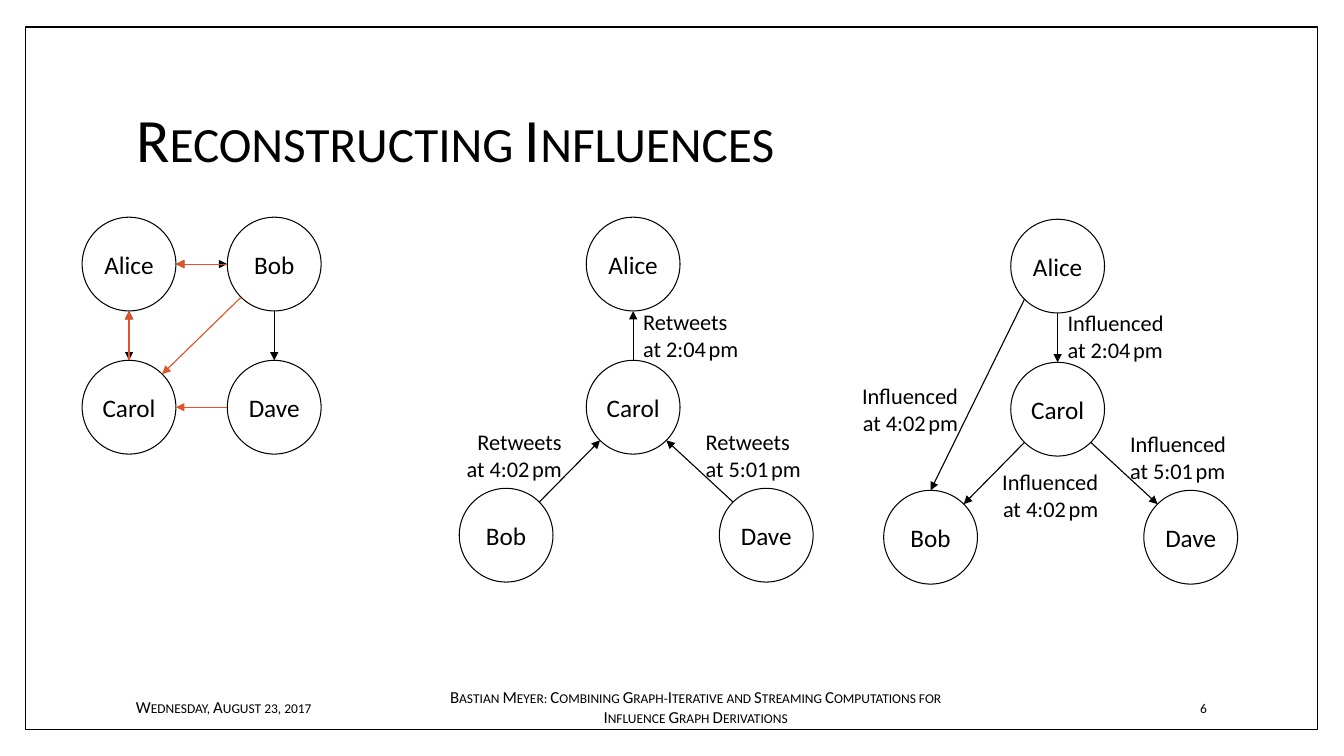
from math import cos, radians, sin

from lxml import etree
from pptx import Presentation
from pptx.dml.color import RGBColor
from pptx.enum import shapes, text
from pptx.oxml import ns
from pptx.util import Inches, Pt

BLACK, WHITE, ORANGE = "000000", "FFFFFF", "DF5327"
LEFT, CENTER, RIGHT = text.PP_ALIGN.LEFT, text.PP_ALIGN.CENTER, text.PP_ALIGN.RIGHT
DIAMETER = 0.93
# Angles on a node's rim, clockwise from the right
E, SE, S, SW, W, NW, N, NE = range(0, 360, 45)


def rgb(value):
    return RGBColor.from_string(value)


def rim(center, angle):
    """Point on the edge of the node with this center."""
    x, y = center
    turn = radians(angle)
    return x + DIAMETER / 2 * cos(turn), y + DIAMETER / 2 * sin(turn)


class GraphSlide:
    font = "Calibri"

    def __init__(self, slide):
        self.slide = slide
        self.shapes = slide.shapes

    def style(self, paragraph, size, align=LEFT, small_caps=False):
        paragraph.alignment = align
        font = paragraph.font
        font.name, font.size = self.font, Pt(size)
        font.color.rgb = rgb(BLACK)
        if small_caps:
            properties = paragraph._p.get_or_add_pPr()
            properties.find(ns.qn("a:defRPr")).set("cap", "small")

    def outline(self, kind, left, top, width, height, weight, fill=None):
        shape = self.shapes.add_shape(
            kind, Inches(left), Inches(top), Inches(width), Inches(height))
        shape.shadow.inherit = False
        if fill:
            shape.fill.solid()
            shape.fill.fore_color.rgb = rgb(fill)
        else:
            shape.fill.background()
        shape.line.color.rgb = rgb(BLACK)
        shape.line.width = Pt(weight)
        return shape

    def title(self, wording):
        title = self.shapes.title
        title.left, title.top = Inches(1.25), Inches(0.67)
        title.width, title.height = Inches(10.8), Inches(1.48)
        frame = title.text_frame
        frame.text = wording
        frame.auto_size = text.MSO_AUTO_SIZE.NONE
        frame.vertical_anchor = text.MSO_ANCHOR.MIDDLE
        frame.paragraphs[0].line_spacing = 0.9
        self.style(frame.paragraphs[0], 44, small_caps=True)

    def text_frame(self, left, top, width, height, wrap):
        box = self.shapes.add_textbox(
            Inches(left), Inches(top), Inches(width), Inches(height))
        box.text_frame.word_wrap = wrap
        return box.text_frame

    def footer(self, wording, left, width, align):
        frame = self.text_frame(left, 6.81, width, 0.4, wrap=True)
        frame.vertical_anchor = text.MSO_ANCHOR.MIDDLE
        frame.text = wording
        self.style(frame.paragraphs[0], 12, align, small_caps=True)

    def node(self, name, center):
        x, y = center
        circle = self.outline(shapes.MSO_SHAPE.OVAL, x - DIAMETER / 2,
                              y - DIAMETER / 2, DIAMETER, DIAMETER, 0.75)
        frame = circle.text_frame
        frame.margin_left = frame.margin_right = Inches(0.04)
        frame.margin_top = frame.margin_bottom = Inches(0.04)
        frame.vertical_anchor = text.MSO_ANCHOR.MIDDLE
        frame.text = name
        self.style(frame.paragraphs[0], 18, CENTER)

    def arrow(self, start, end, color=BLACK, both_ways=False):
        edge = self.shapes.add_connector(
            shapes.MSO_CONNECTOR.STRAIGHT, *(Inches(v) for v in (*start, *end)))
        edge.line.color.rgb = rgb(color)
        edge.line.width = Pt(0.79)
        line = edge.line._get_or_add_ln()
        for tag in ("a:headEnd", "a:tailEnd") if both_ways else ("a:tailEnd",):
            etree.SubElement(line, ns.qn(tag), type="triangle")
        etree.SubElement(edge._element.spPr, ns.qn("a:effectLst"))

    def label(self, verb, time, left, top, align=LEFT):
        frame = self.text_frame(left, top, 1.19, 0.64, wrap=False)
        frame.auto_size = text.MSO_AUTO_SIZE.SHAPE_TO_FIT_TEXT
        line = frame.paragraphs[0]
        line.text = f"{verb}\vat {time}"
        self.style(line, 16, align)
        thin_space = line.add_run()
        thin_space.text = " "
        thin_space.font.size = Pt(8)
        line.add_run().text = "pm"

    def graph(self, nodes, edges):
        """Edges are (source, rim angle, target, rim angle, *arrow options)."""
        for name, center in nodes.items():
            self.node(name, center)
        for source, leave, target, enter, *options in edges:
            self.arrow(rim(nodes[source], leave), rim(nodes[target], enter), *options)


def main():
    prs = Presentation()
    prs.slide_width, prs.slide_height = Inches(13.33), Inches(7.5)
    page = GraphSlide(prs.slides.add_slide(prs.slide_layouts[5]))

    page.outline(shapes.MSO_SHAPE.RECTANGLE, 0.25, 0.27, 12.82, 6.97, 1, WHITE)
    # The frame lies behind the title
    tree = page.shapes._spTree
    tree.append(page.shapes.title._element)
    page.title("Reconstructing Influences")
    page.footer("Wednesday, August 23, 2017", 1.25, 2.55, LEFT)
    page.footer("Bastian Meyer: Combining Graph-Iterative and Streaming "
                "Computations for Influence Graph Derivations", 4.32, 5.16, CENTER)
    page.footer("6", 10.2, 1.87, RIGHT)

    followers = {"Alice": (1.28, 2.62), "Bob": (2.72, 2.62),
                 "Carol": (1.28, 4.04), "Dave": (2.72, 4.04)}
    page.graph(followers, [
        ("Bob", S, "Dave", N),
        ("Carol", N, "Alice", S, BLACK, True),
        ("Bob", W, "Alice", E, BLACK, True),
        ("Carol", N, "Alice", S, ORANGE),
        ("Bob", W, "Alice", E, ORANGE),
        ("Bob", SW, "Carol", NE, ORANGE),
        ("Dave", W, "Carol", E, ORANGE),
    ])

    retweets = {"Alice": (6.28, 2.62), "Carol": (6.28, 4.04),
                "Bob": (5.02, 5.31), "Dave": (7.6, 5.31)}
    page.graph(retweets, [
        ("Carol", N, "Alice", S),
        ("Dave", NW, "Carol", SE),
        ("Bob", NE, "Carol", SW),
    ])
    page.label("Retweets", "2:04", 6.28, 3.01)
    page.label("Retweets", "5:01", 6.9, 4.2)
    page.label("Retweets", "4:02", 4.48, 4.2, RIGHT)

    influences = {name: (x + 4.21, y + 0.02) for name, (x, y) in retweets.items()}
    page.graph(influences, [
        ("Alice", S, "Carol", N),
        ("Carol", SE, "Dave", NW),
        ("Carol", SW, "Bob", NE),
        ("Alice", SW, "Bob", N),
    ])
    page.label("Influenced", "2:04", 10.49, 3.02)
    page.label("Influenced", "5:01", 11.11, 4.22)
    page.label("Influenced", "4:02", 9.8, 4.6, RIGHT)
    page.label("Influenced", "4:02", 8.41, 3.74, RIGHT)

    prs.save("out.pptx")


if __name__ == "__main__":
    main()
